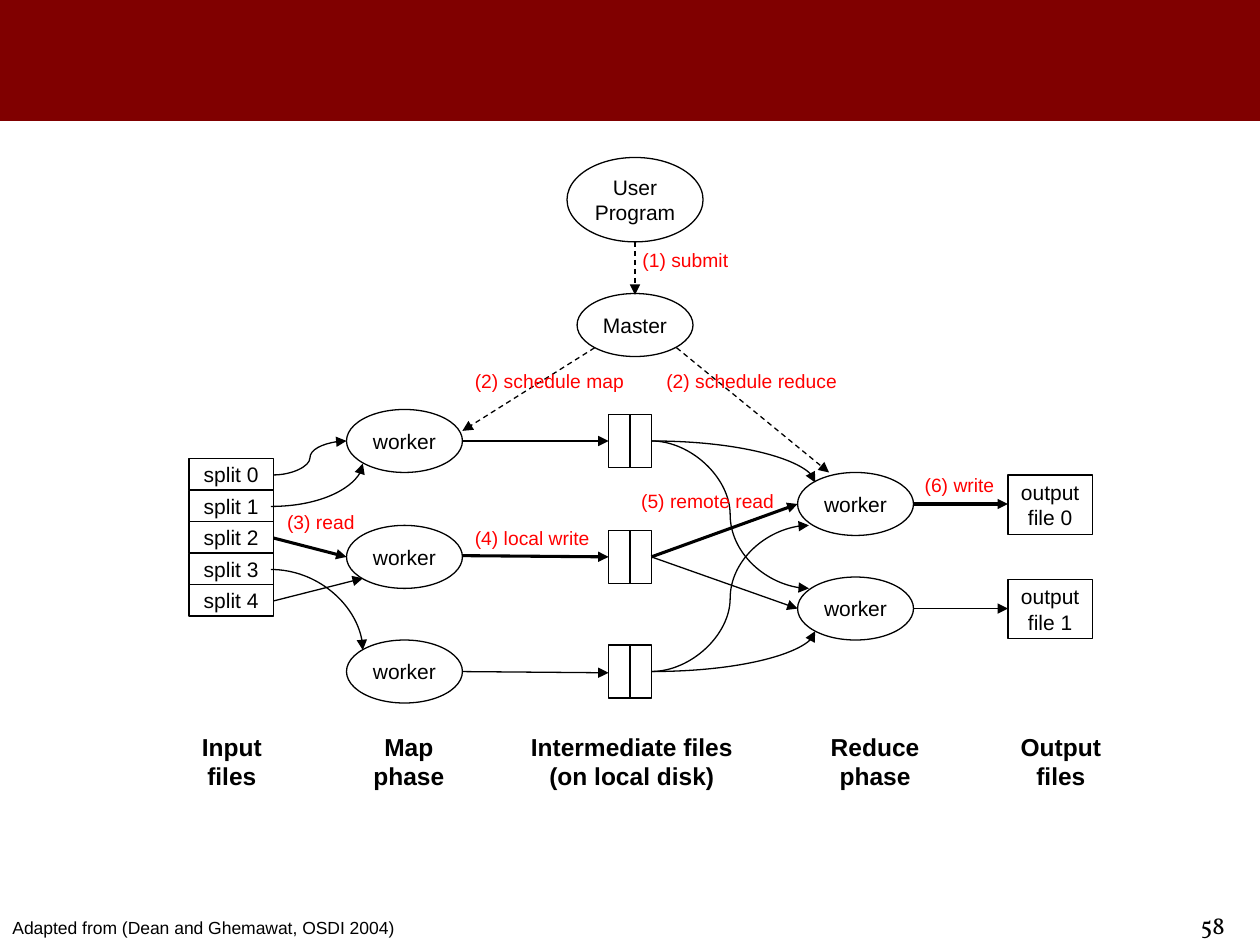
from lxml.etree import SubElement
from pptx import Presentation
from pptx.dml.color import RGBColor
from pptx.enum.dml import MSO_LINE
from pptx.enum.shapes import MSO_CONNECTOR as LINK, MSO_SHAPE as SHAPE
from pptx.enum.text import MSO_ANCHOR as ANCHOR, PP_ALIGN as ALIGN
from pptx.oxml.ns import qn
from pptx.util import Inches, Pt

BLACK = RGBColor(0, 0, 0)
RED = RGBColor(255, 0, 0)
MAROON = RGBColor(128, 0, 0)
THIN, BOLD = 0.75, 1.75

SPLITS = ["split 0", "split 1", "split 2", "split 3", "split 4"]
OVALS = [  # text, left, top, width, height
    ("User\nProgram", 4.5, 1.25, 1.08, 0.67),
    ("Master", 4.58, 2.33, 0.92, 0.5),
]
MAP_X, MAP_TOPS = 2.75, [3.25, 4.17, 5.08]
REDUCE_X, REDUCE_TOPS = 6.33, [3.75, 4.58]
OUTPUTS = ["output\nfile 0", "output\nfile 1"]

STEPS = [  # text, left, top, width
    ("(1) submit", 5, 1.92, 0.89),
    ("(2) schedule map", 3.67, 2.88, 1.39),
    ("(2) schedule reduce", 5.19, 2.88, 1.56),
    ("(3) read", 2.18, 4, 0.74),
    ("(4) local write", 3.67, 4.13, 1.12),
    ("(5) remote read", 4.99, 3.83, 1.26),
    ("(6) write", 7.24, 3.71, 0.76),
]
STAGES = [  # text, left, width
    ("Input\nfiles", 1.5, 0.68),
    ("Map\nphase", 2.86, 0.77),
    ("Intermediate files\n(on local disk)", 4.11, 1.81),
    ("Reduce\nphase", 6.49, 0.91),
    ("Output\nfiles", 8, 0.84),
]
STRAIGHT = [  # start, end, weight
    ((2.17, 4.27), (2.75, 4.42), BOLD),
    ((2.17, 4.77), (2.88, 4.59), THIN),
    ((3.67, 3.5), (4.83, 3.5), THIN),
    ((3.67, 4.41), (4.83, 4.42), BOLD),
    ((3.67, 5.33), (4.83, 5.34), THIN),
    ((7.25, 4), (8, 4), BOLD),
    ((7.25, 4.83), (8, 4.83), THIN),
    ((5.17, 4.42), (6.33, 4), BOLD),
    ((5.17, 4.42), (6.33, 4.83), THIN),
]
DASHED = [
    ((5.04, 1.92), (5.04, 2.34)),
    ((4.72, 2.76), (3.67, 3.42)),
    ((5.37, 2.76), (6.58, 3.75)),
]
S_CURVES = [
    ((2.17, 3.77), (2.75, 3.5)),
    ((5.17, 3.5), (6.42, 4.67)),
    ((5.17, 5.33), (6.42, 4.17)),
]
BENDS = [
    ((2.15, 4.02), (2.88, 3.68)),
    ((2.15, 4.52), (2.88, 5.16)),
    ((5.17, 3.5), (6.47, 3.83)),
    ((5.17, 5.33), (6.47, 5.01)),
]

deck = Presentation()
deck.slide_width, deck.slide_height = Inches(10), Inches(7.5)
slide = deck.slides.add_slide(deck.slide_layouts[6])


def write(frame, text, size, color=BLACK, bold=False, align=ALIGN.LEFT, font="Arial"):
    for i, words in enumerate(text.split("\n")):
        para = frame.paragraphs[0] if i == 0 else frame.add_paragraph()
        para.alignment = align
        run = para.add_run()
        run.text = words
        run.font.name, run.font.size = font, Pt(size)
        run.font.bold, run.font.color.rgb = bold, color


def node(kind, x, y, w, h, text=""):
    """Add an outlined shape with its text in the middle."""
    shape = slide.shapes.add_shape(kind, Inches(x), Inches(y), Inches(w), Inches(h))
    shape.shadow.inherit = False
    shape.fill.background()
    shape.line.color.rgb, shape.line.width = BLACK, Pt(THIN)
    if text:
        frame = shape.text_frame
        frame.margin_left = frame.margin_right = 0
        frame.margin_top = frame.margin_bottom = 0
        frame.word_wrap, frame.vertical_anchor = False, ANCHOR.MIDDLE
        write(frame, text, 12, align=ALIGN.CENTER)
    return shape


def label(text, x, y, w, h, size, wrap=False, **style):
    box = slide.shapes.add_textbox(Inches(x), Inches(y), Inches(w), Inches(h))
    box.text_frame.word_wrap = wrap
    write(box.text_frame, text, size, **style)


def arrow(start, end, weight=THIN, kind=LINK.STRAIGHT, dash=False, bend=False):
    """Join two points; a bend leaves sideways and arrives upright."""
    link = slide.shapes.add_connector(kind, *map(Inches, start + end))
    link.line.color.rgb, link.line.width = BLACK, Pt(weight)
    if dash:
        link.line.dash_style = MSO_LINE.DASH
    props = link._element.spPr
    if bend:
        props.find(qn("a:prstGeom")).set("prst", "curvedConnector2")
    SubElement(props.find(qn("a:ln")), qn("a:tailEnd"), type="triangle")
    SubElement(props, qn("a:effectLst"))


band = node(SHAPE.RECTANGLE, 0, 0, 10, 0.95)
band.fill.solid()
band.fill.fore_color.rgb = band.line.color.rgb = MAROON
band.line.width = Pt(2)

for i, name in enumerate(SPLITS):
    node(SHAPE.RECTANGLE, 1.5, 3.64 + 0.25 * i, 0.67, 0.25, name)

workers = [("worker", MAP_X, y, 0.92, 0.5) for y in MAP_TOPS]
workers += [("worker", REDUCE_X, y, 0.92, 0.5) for y in REDUCE_TOPS]
for text, *place in OVALS + workers:
    node(SHAPE.OVAL, *place, text)

for y in MAP_TOPS:
    for x in (4.83, 5):
        node(SHAPE.RECTANGLE, x, y + 0.04, 0.17, 0.42)
for name, y in zip(OUTPUTS, REDUCE_TOPS):
    node(SHAPE.RECTANGLE, 8, y + 0.02, 0.67, 0.47, name)

for start, end, weight in STRAIGHT:
    arrow(start, end, weight)
for start, end in DASHED:
    arrow(start, end, dash=True)
for start, end in S_CURVES:
    arrow(start, end, kind=LINK.CURVE)
for start, end in BENDS:
    arrow(start, end, kind=LINK.CURVE, bend=True)

for text, x, y, w in STEPS:
    label(text, x, y, w, 0.29, 11, color=RED)
for text, x, w in STAGES:
    label(text, x, 5.76, w, 0.57, 14, bold=True, align=ALIGN.CENTER)
label("Adapted from (Dean and Ghemawat, OSDI 2004)", 0, 7.23, 3.42, 0.27, 10, wrap=True)
label("58", 7.62, 7.17, 2.2, 0.3, 14, wrap=True, align=ALIGN.RIGHT, font="Vollkorn")

deck.save("out.pptx")
